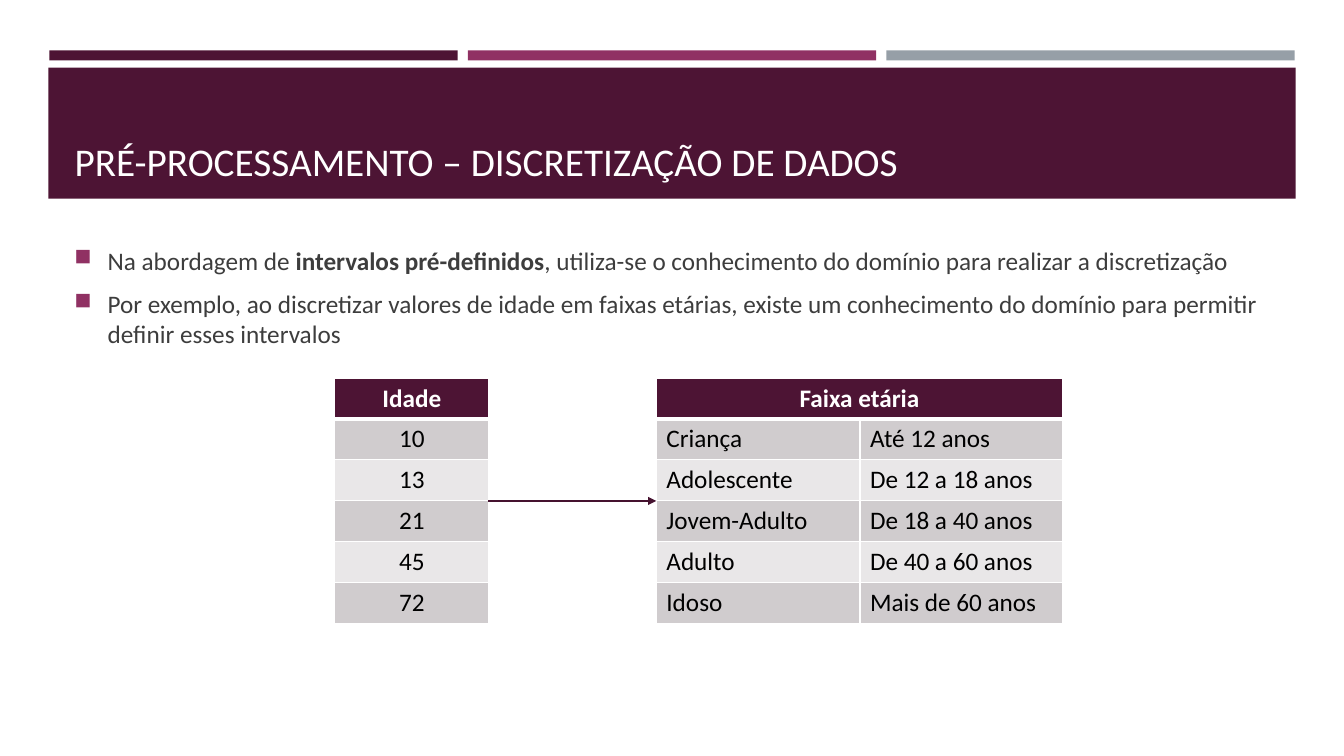
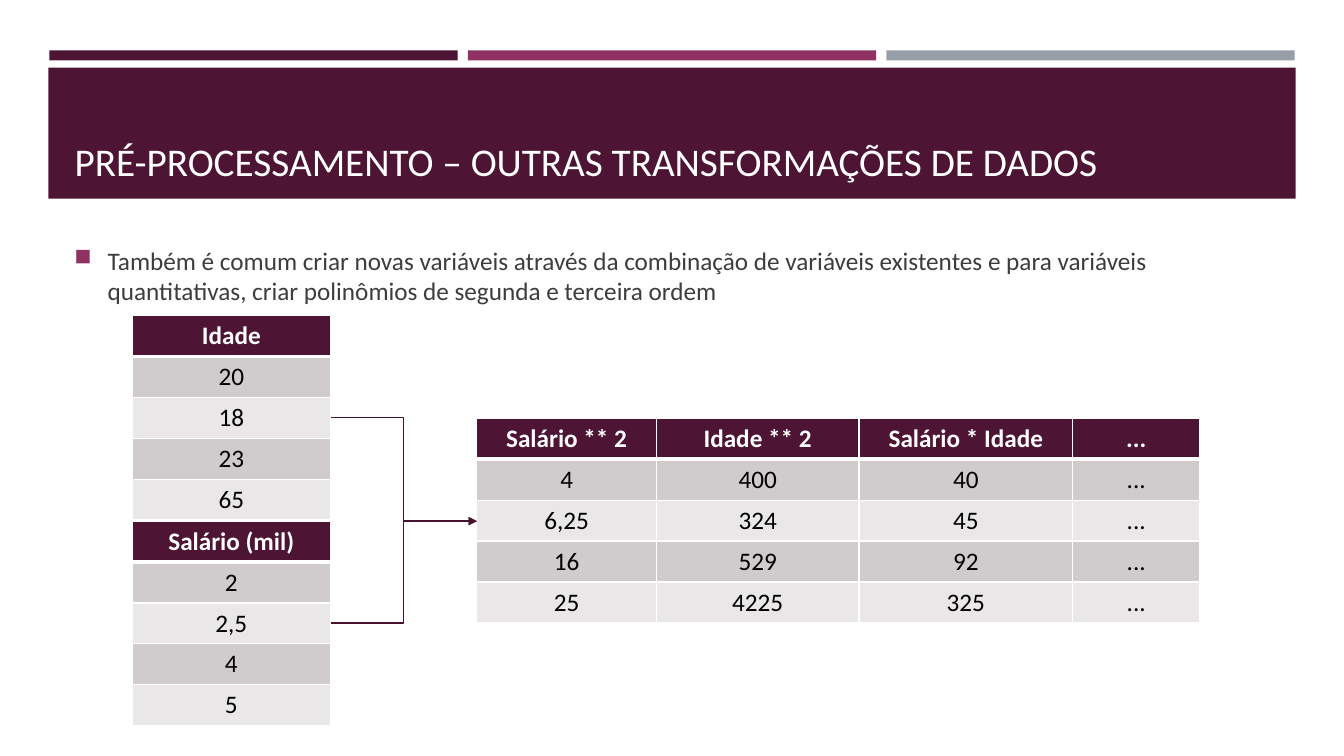
from lxml import etree
from pptx import Presentation, util as u
from pptx.dml.color import RGBColor
from pptx.enum import shapes, text
from pptx.oxml import ns

PLUM = RGBColor(0x4D, 0x14, 0x34)
ROSE = RGBColor(0x90, 0x31, 0x63)
STEEL = RGBColor(0x96, 0x9F, 0xA7)
WINE = RGBColor(0x45, 0x12, 0x2F)
WHITE = RGBColor(0xFF, 0xFF, 0xFF)
BLACK = RGBColor(0, 0, 0)
GREY = RGBColor(0x3D, 0x3D, 0x3D)
DARK = RGBColor(0xD0, 0xCC, 0xCE)
LIGHT = RGBColor(0xE9, 0xE7, 0xE8)
FONT = "Calibri"
LEFT, MID = text.PP_ALIGN.LEFT, text.PP_ALIGN.CENTER
LINE, ELBOW = shapes.MSO_CONNECTOR.STRAIGHT, shapes.MSO_CONNECTOR.ELBOW
ROW = 40.6

BANDS = [
    (PLUM, (49, 50, 405, 10)),
    (ROSE, (464, 50, 405, 10)),
    (STEEL, (879, 50, 405, 10)),
    (PLUM, (48, 67, 1237, 130)),
]

SLIDES = [
    {
        "title": "PRÉ-PROCESSAMENTO – DISCRETIZAÇÃO DE DADOS",
        "body": [
            [("Na abordagem de ", False), ("intervalos pré-definidos", True),
             (", utiliza-se o conhecimento do domínio para realizar a discretização", False)],
            [("Por exemplo, ao discretizar valores de idade em faixas etárias, existe um "
              "conhecimento do domínio para permitir definir esses intervalos", False)],
        ],
        "tables": [
            (332, 375, [153], MID, [["Idade"], ["10"], ["13"], ["21"], ["45"], ["72"]]),
            (651, 375, [202, 201], LEFT, [
                ["Faixa etária", ""],
                ["Criança", "Até 12 anos"],
                ["Adolescente", "De 12 a 18 anos"],
                ["Jovem-Adulto", "De 18 a 40 anos"],
                ["Adulto", "De 40 a 60 anos"],
                ["Idoso", "Mais de 60 anos"],
            ]),
        ],
        "arrows": [(LINE, 484, 497, 651, 497)],
    },
    {
        "title": "PRÉ-PROCESSAMENTO – OUTRAS TRANSFORMAÇÕES DE DADOS",
        "body": [
            [("Também é comum criar novas variáveis através da combinação de variáveis existentes "
              "e para variáveis quantitativas, criar polinômios de segunda e terceira ordem", False)],
        ],
        "tables": [
            (131, 313, [197], MID, [["Idade"], ["20"], ["18"], ["23"], ["65"]]),
            (131, 517, [197], MID, [["Salário (mil)"], ["2"], ["2,5"], ["4"], ["5"]]),
            (473, 415, [178, 201, 212, 126], MID, [
                ["Salário ** 2", "Idade ** 2", "Salário * Idade", "..."],
                ["4", "400", "40", "..."],
                ["6,25", "324", "45", "..."],
                ["16", "529", "92", "..."],
                ["25", "4225", "325", "..."],
            ]),
        ],
        "arrows": [(ELBOW, 328, 414, 473, 517), (ELBOW, 328, 618, 473, 517)],
    },
]


def px(n):
    return u.Emu(round(n * 9144))


def box(*dims):
    return [px(n) for n in dims]


def put(obj, **vals):
    for key, val in vals.items():
        setattr(obj, key, val)


def node(up, tag, **vals):
    return etree.SubElement(up, ns.qn("a:" + tag), vals)


def ink(font, size, color, bold=False):
    put(font, name=FONT, size=u.Pt(size), bold=bold)
    font.color.rgb = color


def add_head(slide, words):
    title = slide.shapes.title
    for color, dims in BANDS:
        band = slide.shapes.add_shape(shapes.MSO_SHAPE.RECTANGLE, *box(*dims))
        band.shadow.inherit = False
        band.fill.solid()
        band.fill.fore_color.rgb = color
        band.line.fill.background()
        title.element.addprevious(band.element)
    put(title, left=px(64), top=px(77), width=px(1206), height=px(111))
    frame = title.text_frame
    put(frame, text=words, word_wrap=True, auto_size=text.MSO_AUTO_SIZE.NONE,
        vertical_anchor=text.MSO_ANCHOR.BOTTOM)
    frame.paragraphs[0].alignment = LEFT
    ink(frame.paragraphs[0].runs[0].font, 28, WHITE)


def add_body(slide, items):
    frame = slide.shapes.add_textbox(*box(64, 238, 1206, 402)).text_frame
    frame.word_wrap = True
    for i, runs in enumerate(items):
        para = frame.add_paragraph() if i else frame.paragraphs[0]
        put(para, space_before=u.Pt(3.6), space_after=u.Pt(6))
        props = para._p.get_or_add_pPr()
        props.set("marL", str(px(33)))
        props.set("indent", str(px(-33)))
        node(node(props, "buClr"), "srgbClr", val=str(ROSE))
        node(props, "buSzPct", val="92000")
        node(props, "buChar", char="■")
        for words, bold in runs:
            run = para.add_run()
            run.text = words
            ink(run.font, 18, GREY, bold)


def edge(cell, row):
    props = cell._tc.get_or_add_tcPr()
    wide = {"lnT": 3 if row == 1 else 1, "lnB": 1 if row else 3}
    for i, tag in enumerate(("lnL", "lnR", "lnT", "lnB")):
        line = etree.Element(ns.qn("a:" + tag), w=str(u.Pt(wide.get(tag, 1))))
        node(node(line, "solidFill"), "srgbClr", val=str(WHITE))
        props.insert(i, line)


def add_grid(slide, left, top, cols, align, rows):
    dims = box(left, top, sum(cols), ROW * len(rows))
    grid = slide.shapes.add_table(len(rows), len(cols), *dims).table
    for col, wide in zip(grid.columns, cols):
        col.width = px(wide)
    for r, row in enumerate(rows):
        grid.rows[r].height = px(ROW)
        for c, words in enumerate(row):
            cell = grid.cell(r, c)
            cell.fill.solid()
            cell.fill.fore_color.rgb = (DARK if r % 2 else LIGHT) if r else PLUM
            edge(cell, r)
            if words:
                cell.text = words
                para = cell.text_frame.paragraphs[0]
                para.alignment = align if r else MID
                ink(para.runs[0].font, 18, BLACK if r else WHITE, not r)
    if not rows[0][-1]:
        grid.cell(0, 0).merge(grid.cell(0, len(cols) - 1))


def add_arrow(slide, kind, *ends):
    arrow = slide.shapes.add_connector(kind, *box(*ends))
    arrow.line.color.rgb = WINE
    arrow.line.width = u.Pt(1)
    node(arrow.line._get_or_add_ln(), "tailEnd", type="triangle")
    node(arrow._element.spPr, "effectLst")


def main():
    deck = Presentation()
    put(deck, slide_width=px(1333), slide_height=px(750))
    for data in SLIDES:
        slide = deck.slides.add_slide(deck.slide_layouts[5])
        add_head(slide, data["title"])
        add_body(slide, data["body"])
        for grid in data["tables"]:
            add_grid(slide, *grid)
        for arrow in data["arrows"]:
            add_arrow(slide, *arrow)
    deck.save("out.pptx")


if __name__ == "__main__":
    main()
